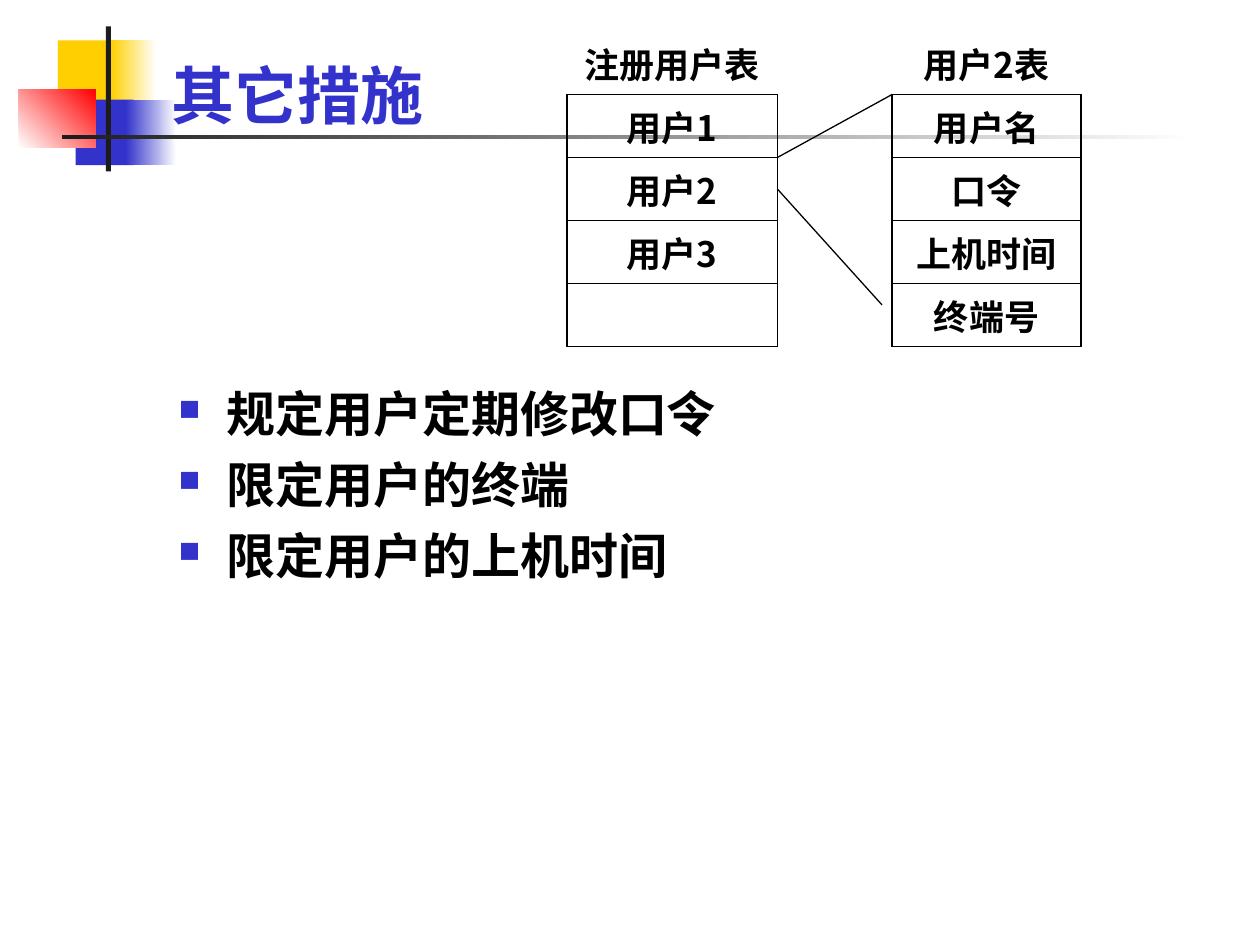
from dataclasses import dataclass
from typing import Any

from lxml import etree
from pptx import Presentation
from pptx import util as u
from pptx.dml import color
from pptx.enum import shapes, text
from pptx.oxml import ns

BLUE, GOLD, RED = "3333CC", "FFCF01", "FF0000"
DARK, WHITE, BLACK = "1C1C1C", "FFFFFF", "000000"


def rgb(code):
    return color.RGBColor.from_string(code)


def sub(parent, tag, **attrs):
    return etree.SubElement(parent, ns.qn(tag), attrs)


@dataclass
class Deck:
    slide: Any
    latin: str = "Lato"
    asian: str = "Noto Sans CJK SC"

    def font(self, para, size, code=BLACK, name=None):
        """Set Latin and East Asian fonts on a whole paragraph."""
        font = para.font
        font.size, font.bold = u.Pt(size), True
        font.color.rgb = rgb(code)
        font.name = name or self.asian
        sub(para._p.pPr.find(ns.qn("a:defRPr")), "a:ea", typeface=self.asian)

    def rect(self, box, first, last=None, angle=0):
        """Draw a plain block, or a gradient one when last is given."""
        shape = self.slide.shapes.add_shape(
            shapes.MSO_SHAPE.RECTANGLE, *map(u.Inches, box))
        shape.shadow.inherit = False
        shape.line.fill.background()
        if last is None:
            shape.fill.solid()
            shape.fill.fore_color.rgb = rgb(first)
            return
        shape.fill.gradient()
        shape.fill.gradient_angle = angle
        for stop, code in zip(shape.fill.gradient_stops, (first, last)):
            stop.color.rgb = rgb(code)

    def frame(self, box, anchor):
        area = self.slide.shapes.add_textbox(*map(u.Inches, box)).text_frame
        area.word_wrap = True
        area.vertical_anchor = anchor
        return area

    def title(self, box, words):
        para = self.frame(box, text.MSO_ANCHOR.BOTTOM).paragraphs[0]
        para.text = words
        self.font(para, 36, BLUE, self.latin)

    def bullets(self, box, items):
        area = self.frame(box, text.MSO_ANCHOR.TOP)
        for i, item in enumerate(items):
            para = area.add_paragraph() if i else area.paragraphs[0]
            para.text = item
            para.line_spacing = u.Pt(33.5)
            if i:
                para.space_before = u.Pt(7)
            props = para._p.get_or_add_pPr()
            props.set("marL", str(u.Inches(0.38)))
            props.set("indent", str(-u.Inches(0.38)))
            sub(sub(props, "a:buClr"), "a:srgbClr", val=BLUE)
            sub(props, "a:buSzPct", val="60000")
            sub(props, "a:buChar", char="■")
            self.font(para, 28)

    def border(self, cell, head, foot):
        """Rule a cell: the heading has a bottom line only."""
        props = cell._tc.get_or_add_tcPr()
        widths = {"L": 0 if head else 1.08, "R": 0 if head else 1.08,
                  "T": 0 if head else 0.45, "B": 1.08 if foot else 0.45}
        for side, width in widths.items():
            line = sub(props, f"a:ln{side}", w=str(u.Pt(width)))
            if width:
                sub(sub(line, "a:solidFill"), "a:srgbClr", val=BLACK)
            else:
                sub(line, "a:noFill")

    def table(self, left, top, width, high, items):
        grid = self.slide.shapes.add_table(
            len(items), 1, *map(u.Inches, (left, top, width, high * len(items)))
        ).table
        grid.first_row = grid.horz_banding = False
        for i, item in enumerate(items):
            cell = grid.cell(i, 0)
            self.border(cell, i == 0, i == len(items) - 1)
            cell.fill.background()
            cell.vertical_anchor = text.MSO_ANCHOR.MIDDLE
            para = cell.text_frame.paragraphs[0]
            para.text = item
            para.alignment = text.PP_ALIGN.CENTER
            self.font(para, 20)

    def line(self, *ends):
        link = self.slide.shapes.add_connector(
            shapes.MSO_CONNECTOR.STRAIGHT, *map(u.Inches, ends))
        link.line.color.rgb = rgb(BLACK)
        link.line.width = u.Pt(0.75)
        sub(link._element.spPr, "a:effectLst")


def main():
    show = Presentation()
    show.slide_width, show.slide_height = u.Inches(10), u.Inches(7.5)
    deck = Deck(show.slides.add_slide(show.slide_layouts[6]))

    deck.rect((0.46, 0.32, 0.48, 0.52), GOLD)
    deck.rect((0.88, 0.32, 0.36, 0.52), GOLD, WHITE)
    deck.rect((0.6, 0.79, 0.46, 0.52), BLUE)
    deck.rect((1, 0.79, 0.4, 0.52), BLUE, WHITE)
    deck.rect((0.15, 0.71, 0.61, 0.46), WHITE, RED, 45)
    deck.rect((0.84, 0.21, 0.04, 1.15), DARK)
    deck.rect((0.49, 1.07, 9, 0.03), DARK, WHITE)

    deck.title((1.26, -0.15, 8.52, 1.25), "其它措施")
    deck.bullets((1.32, 3, 6.69, 2.66),
                 ["规定用户定期修改口令", "限定用户的终端", "限定用户的上机时间"])
    deck.table(4.5, 0.25, 1.67, 0.5,
               ["注册用户表", "用户1", "用户2", "用户3", ""])
    deck.table(7.08, 0.25, 1.5, 0.5,
               ["用户2表", "用户名", "口令", "上机时间", "终端号"])
    deck.line(6.17, 1.25, 7.08, 0.75)
    deck.line(6.17, 1.5, 7, 2.42)
    show.save("out.pptx")


if __name__ == "__main__":
    main()
